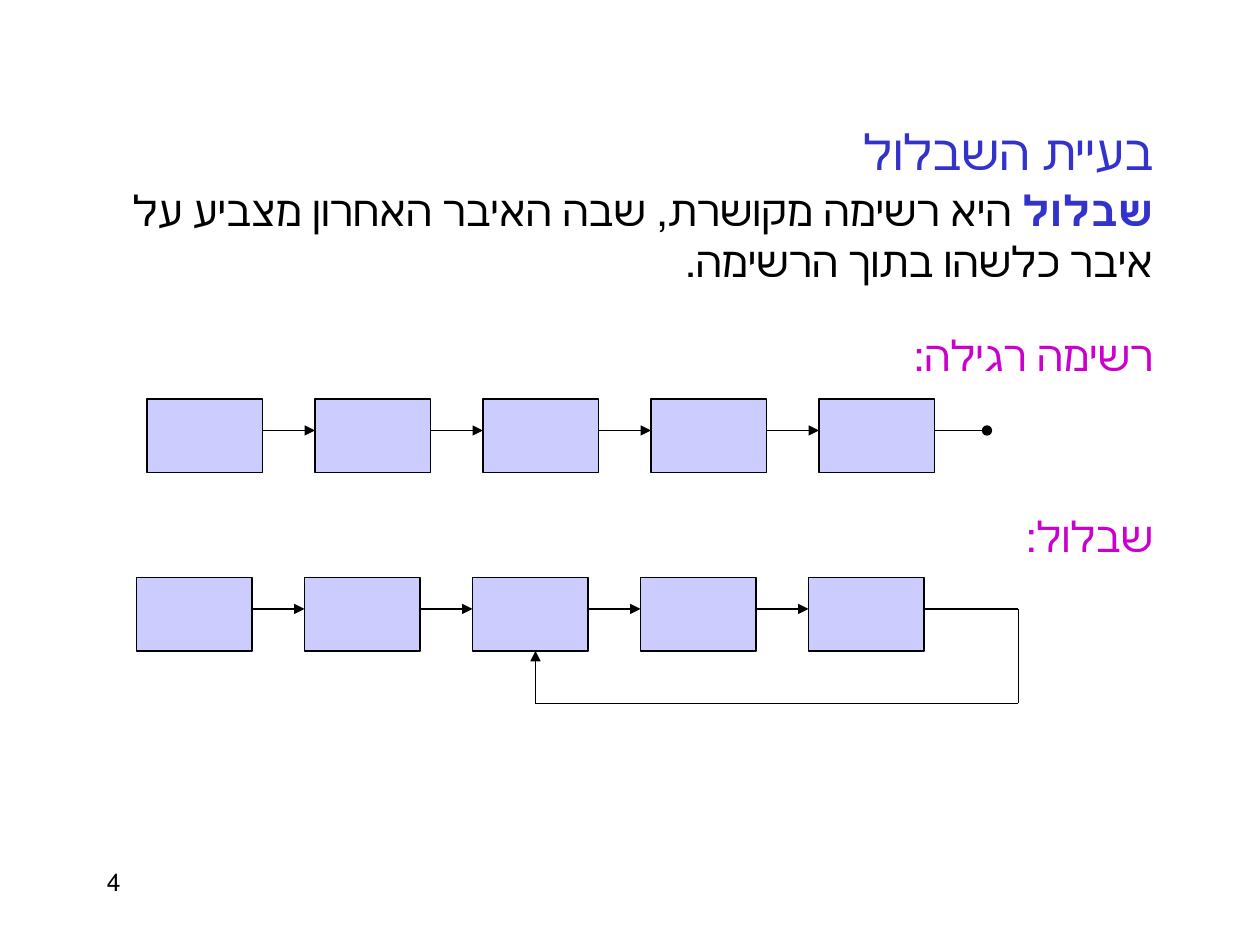
"""Build the slide that compares a plain linked list with a looped one."""
from dataclasses import dataclass

from lxml import etree
from pptx import Presentation, util as u
from pptx.dml.color import RGBColor
from pptx.enum import shapes, text
from pptx.oxml import ns


@dataclass(frozen=True)
class Theme:
    font: str = "Times New Roman"
    ink: str = "000000"
    blue: str = "3333CC"
    pink: str = "CC00CC"
    cell: str = "CCCCFF"
    big: int = 28
    body: int = 24
    small: int = 14
    line: float = 0.75


T = Theme()
UNIT = 1 / 12
LEFT, RIGHT = text.PP_ALIGN.LEFT, text.PP_ALIGN.RIGHT

TEXTS = [
    ((9, 82, 25, 6), T.small, LEFT, [("4", T.ink, False)]),
    ((71, 11, 40, 6.8), T.big, RIGHT, [("בעיית השבלול", T.blue, False)]),
    ((4, 17, 107, 10.8), T.body, RIGHT, [
        ("שבלול", T.blue, True),
        (" היא רשימה מקושרת, שבה האיבר האחרון מצביע על איבר כלשהו בתוך הרשימה.",
         T.ink, False)]),
    ((85, 30.8, 26, 6), T.body, RIGHT, [("רשימה רגילה:", T.pink, False)]),
    ((85, 48, 26, 6), T.body, RIGHT, [("שבלול:", T.pink, False)]),
]

COUNT, WIDE, HIGH, STEP, PORT = 5, 11, 7, 16, 3
CHAINS = [
    {"at": (13, 55), "path": [(9, 0), (9, 9), (-37, 9), (-37, 4)], "end": "triangle"},
    {"at": (14, 38), "path": [(5, 0)], "end": "oval"},
]


def grid(*vals):
    return [u.Inches(v * UNIT) for v in vals]


def rgb(code):
    return RGBColor.from_string(code)


def write(slide, box, size, side, runs):
    frame = slide.shapes.add_textbox(*grid(*box)).text_frame
    frame.word_wrap = True
    para = frame.paragraphs[0]
    para.alignment = side
    para._p.get_or_add_pPr().set("rtl", "1")
    para.font.size, para.font.name = u.Pt(size), T.font
    for words, color, bold in runs:
        run = para.add_run()
        run.text = words
        run.font.size, run.font.name = u.Pt(size), T.font
        run.font.bold, run.font.color.rgb = bold, rgb(color)


def link(group, start, stop, end=None):
    line = group.shapes.add_connector(
        shapes.MSO_CONNECTOR.STRAIGHT, *grid(*start, *stop))
    line.line.color.rgb, line.line.width = rgb(T.ink), u.Pt(T.line)
    if end:
        etree.SubElement(line.line._get_or_add_ln(), ns.qn("a:tailEnd"), type=end)
    etree.SubElement(line._element.spPr, ns.qn("a:effectLst"))


def chain(slide, at, path, end):
    group = slide.shapes.add_group_shape()
    left, top = at
    row = top + PORT
    for i in range(COUNT):
        x = left + i * STEP
        cell = group.shapes.add_shape(
            shapes.MSO_SHAPE.RECTANGLE, *grid(x, top, WIDE, HIGH))
        cell.shadow.inherit = False
        cell.fill.solid()
        cell.fill.fore_color.rgb = rgb(T.cell)
        cell.line.color.rgb, cell.line.width = rgb(T.ink), u.Pt(T.line)
        if i < COUNT - 1:
            link(group, (x + WIDE, row), (x + STEP, row), "triangle")
    out = x + WIDE
    stops = [(out, row)] + [(out + dx, row + dy) for dx, dy in path]
    for i, pair in enumerate(zip(stops, stops[1:]), 1):
        link(group, *pair, end if i == len(path) else None)


def main():
    deck = Presentation()
    deck.slide_width, deck.slide_height = u.Inches(10), u.Inches(7.5)
    slide = deck.slides.add_slide(deck.slide_layouts[6])
    for item in CHAINS:
        chain(slide, **item)
    for item in TEXTS:
        write(slide, *item)
    deck.save("out.pptx")


if __name__ == "__main__":
    main()
